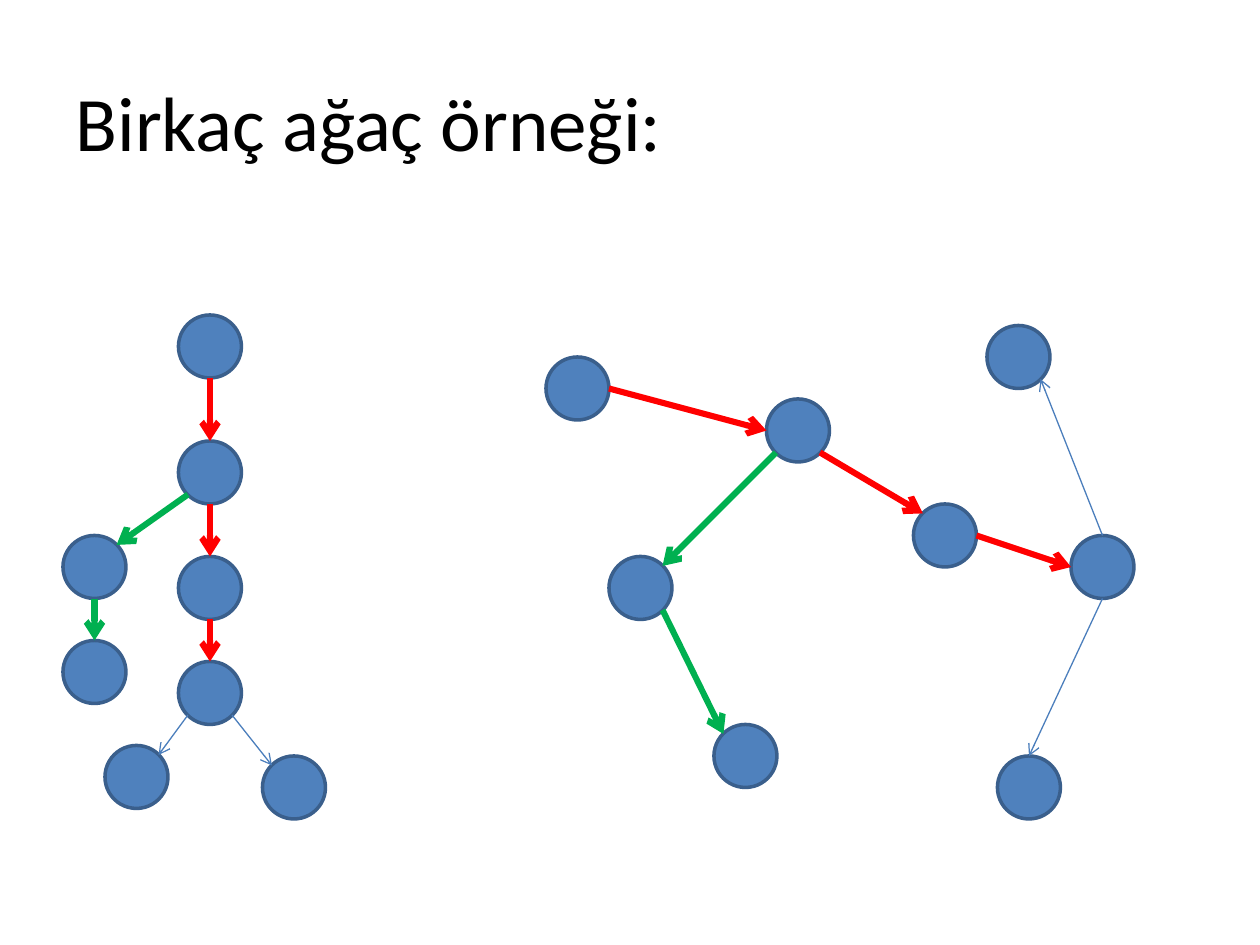
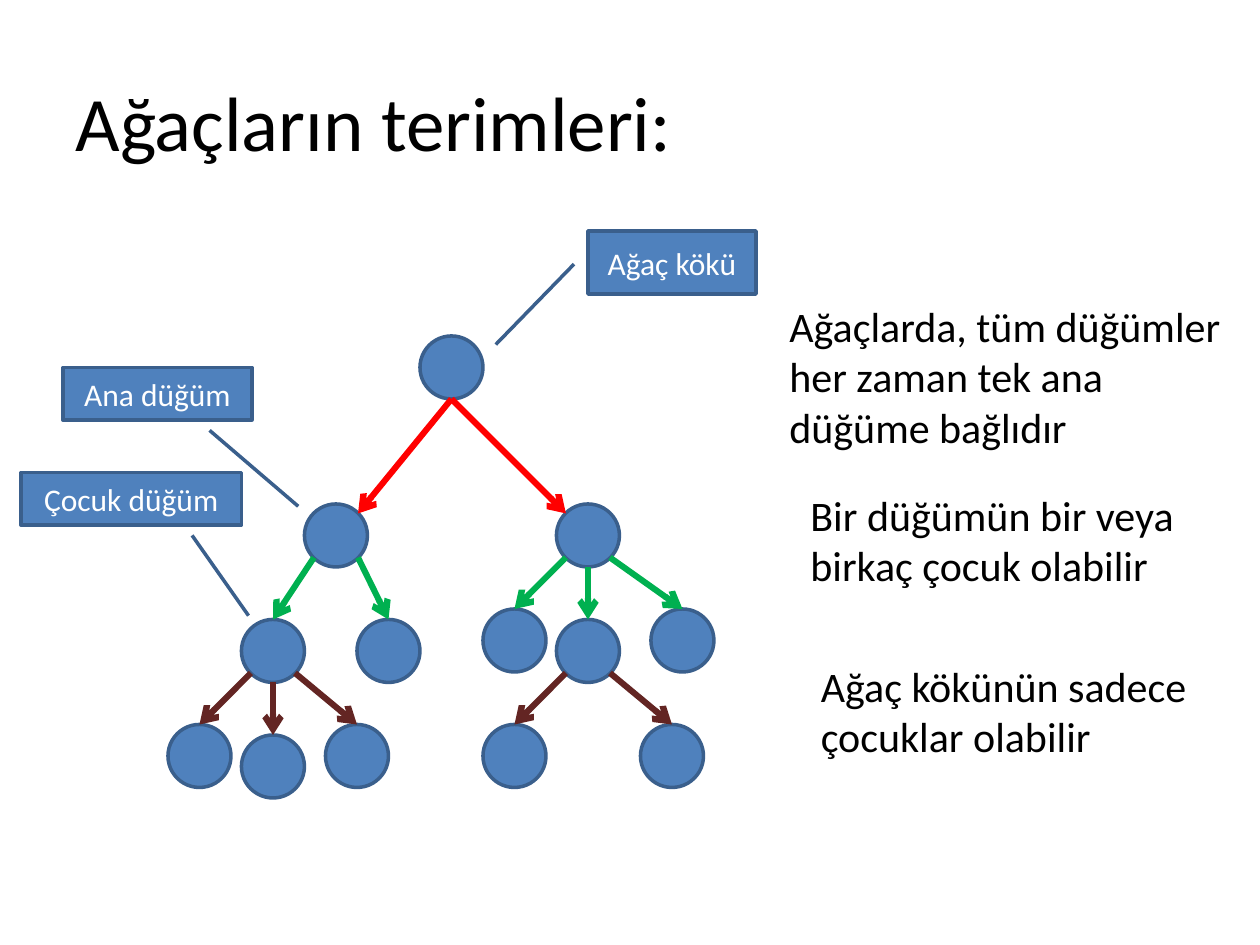
"""Build two slides about trees: examples, then terms."""
import lxml.etree
import pptx
import pptx.dml.color
import pptx.enum.shapes
import pptx.enum.text
import pptx.oxml.ns
import pptx.util
from dataclasses import dataclass


@dataclass(frozen=True)
class Theme:
    font: str = "Calibri"
    title_size: int = 44
    note_size: int = 24
    label_size: int = 18
    text: str = "000000"
    label_text: str = "FFFFFF"
    fill: str = "4F81BD"
    outline: str = "3A5F8C"
    red: str = "FF0000"
    green: str = "00B050"
    brown: str = "632523"
    thin_blue: str = "4B7EBC"
    outline_width: float = 2
    thick: float = 3.5
    thin: float = 0.75


theme = Theme()
PX = 7620
NODE = 60
SIDES = {
    "top": (30, 0), "bottom": (30, 60), "left": (0, 30), "right": (60, 30),
    "top left": (9, 9), "top right": (51, 9),
    "bottom left": (9, 51), "bottom right": (51, 51),
}
MSO_SHAPE = pptx.enum.shapes.MSO_SHAPE
ALIGN = pptx.enum.text.PP_ALIGN
ANCHOR = pptx.enum.text.MSO_ANCHOR


def write(shape, text, *, size, color=theme.text, align=ALIGN.LEFT, anchor=ANCHOR.TOP):
    frame = shape.text_frame
    frame.word_wrap = True
    frame.vertical_anchor = anchor
    paragraph = frame.paragraphs[0]
    paragraph.text = text
    paragraph.alignment = align
    paragraph.font.name = theme.font
    paragraph.font.size = pptx.util.Pt(size)
    paragraph.font.color.rgb = pptx.dml.color.RGBColor.from_string(color)


def add_box(slide, preset, left, top, width, height):
    shape = slide.shapes.add_shape(preset, left * PX, top * PX, width * PX, height * PX)
    shape.shadow.inherit = False
    shape.fill.solid()
    shape.fill.fore_color.rgb = pptx.dml.color.RGBColor.from_string(theme.fill)
    shape.line.color.rgb = pptx.dml.color.RGBColor.from_string(theme.outline)
    shape.line.width = pptx.util.Pt(theme.outline_width)
    return shape


example_nodes = {
    "chain 1": (170, 300), "chain 2": (170, 420), "chain 3": (170, 530),
    "chain 4": (170, 630), "branch 1": (60, 510), "branch 2": (60, 610),
    "left leaf": (100, 710), "right leaf": (250, 720),
    "start": (520, 340), "fork": (730, 380), "middle": (870, 480),
    "end": (1020, 510), "lower 1": (580, 530), "lower 2": (680, 690),
    "upper tip": (940, 310), "lower tip": (950, 720),
}
example_edges = [
    ("chain 1", "bottom", "chain 2", "top", theme.red),
    ("chain 2", "bottom", "chain 3", "top", theme.red),
    ("chain 3", "bottom", "chain 4", "top", theme.red),
    ("chain 2", "bottom left", "branch 1", "top right", theme.green),
    ("branch 1", "bottom", "branch 2", "top", theme.green),
    ("chain 4", "bottom left", "left leaf", "top right", theme.thin_blue),
    ("chain 4", "bottom right", "right leaf", "top left", theme.thin_blue),
    ("start", "right", "fork", "left", theme.red),
    ("fork", "bottom right", "middle", "top left", theme.red),
    ("middle", "right", "end", "left", theme.red),
    ("fork", "bottom left", "lower 1", "top right", theme.green),
    ("lower 1", "bottom right", "lower 2", "top left", theme.green),
    ("end", "top", "upper tip", "bottom right", theme.thin_blue),
    ("end", "bottom", "lower tip", "top", theme.thin_blue),
]
term_nodes = {
    "root": (400, 320), "left": (290, 480), "right": (530, 480),
    "left 1": (230, 590), "left 2": (340, 590),
    "right 1": (460, 580), "right 2": (530, 590), "right 3": (620, 580),
    "leaf 1": (160, 690), "leaf 2": (230, 700), "leaf 3": (310, 690),
    "leaf 4": (460, 690), "leaf 5": (610, 690),
}
term_edges = [
    ("root", "bottom", "left", "top right", theme.red),
    ("root", "bottom", "right", "top left", theme.red),
    ("left", "bottom left", "left 1", "top", theme.green),
    ("left", "bottom right", "left 2", "top", theme.green),
    ("right", "bottom left", "right 1", "top", theme.green),
    ("right", "bottom", "right 2", "top", theme.green),
    ("right", "bottom right", "right 3", "top", theme.green),
    ("left 1", "bottom left", "leaf 1", "top", theme.brown),
    ("left 1", "bottom", "leaf 2", "top", theme.brown),
    ("left 1", "bottom right", "leaf 3", "top", theme.brown),
    ("right 2", "bottom left", "leaf 4", "top", theme.brown),
    ("right 2", "bottom right", "leaf 5", "top", theme.brown),
]
callouts = [
    ("Ağaç kökü", (560, 220, 160, 60), (0.526, -0.083, 1.803, -0.549)),
    ("Ana düğüm", (60, 350, 180, 50), (1.2, 0.776, 2.647, 1.245)),
    ("Çocuk düğüm", (20, 450, 210, 50), (1.2, 0.776, 2.729, 1.032)),
]
notes = [
    ("Ağaçlarda, tüm düğümler her zaman tek ana düğüme bağlıdır", (740, 280, 460, 157)),
    ("Bir düğümün bir veya birkaç çocuk olabilir", (760, 460, 380, 109)),
    ("Ağaç kökünün sadece çocuklar olabilir", (770, 623, 380, 109)),
]

presentation = pptx.Presentation()
presentation.slide_width = 1200 * PX
presentation.slide_height = 900 * PX

for title_text, nodes, edges in [
    ("Birkaç ağaç örneği:", example_nodes, example_edges),
    ("Ağaçların terimleri:", term_nodes, term_edges),
]:
    slide = presentation.slides.add_slide(presentation.slide_layouts[5])
    title = slide.shapes.title
    title.left, title.top, title.width, title.height = 60 * PX, 40 * PX, 1080 * PX, 150 * PX
    write(title, title_text, size=theme.title_size, anchor=ANCHOR.MIDDLE)

    for left, top in nodes.values():
        add_box(slide, MSO_SHAPE.FLOWCHART_CONNECTOR, left, top, NODE, NODE)

    for parent, parent_side, child, child_side, color in edges:
        ends = [
            (start + offset) * PX
            for node, side in ((parent, parent_side), (child, child_side))
            for start, offset in zip(nodes[node], SIDES[side])
        ]
        arrow = slide.shapes.add_connector(pptx.enum.shapes.MSO_CONNECTOR.STRAIGHT, *ends)
        arrow.line.color.rgb = pptx.dml.color.RGBColor.from_string(color)
        arrow.line.width = pptx.util.Pt(theme.thin if color == theme.thin_blue else theme.thick)
        properties = arrow._element.spPr
        outline = properties.find(pptx.oxml.ns.qn("a:ln"))
        lxml.etree.SubElement(outline, pptx.oxml.ns.qn("a:tailEnd"), type="arrow")
        lxml.etree.SubElement(properties, pptx.oxml.ns.qn("a:effectLst"))

for text, place, pointer in callouts:
    callout = add_box(slide, MSO_SHAPE.LINE_CALLOUT_1, *place)
    for index, value in enumerate(pointer):
        callout.adjustments[index] = value
    write(callout, text, size=theme.label_size, color=theme.label_text,
          align=ALIGN.CENTER, anchor=ANCHOR.MIDDLE)

for text, place in notes:
    note = slide.shapes.add_textbox(*(length * PX for length in place))
    write(note, text, size=theme.note_size)

presentation.save("out.pptx")
